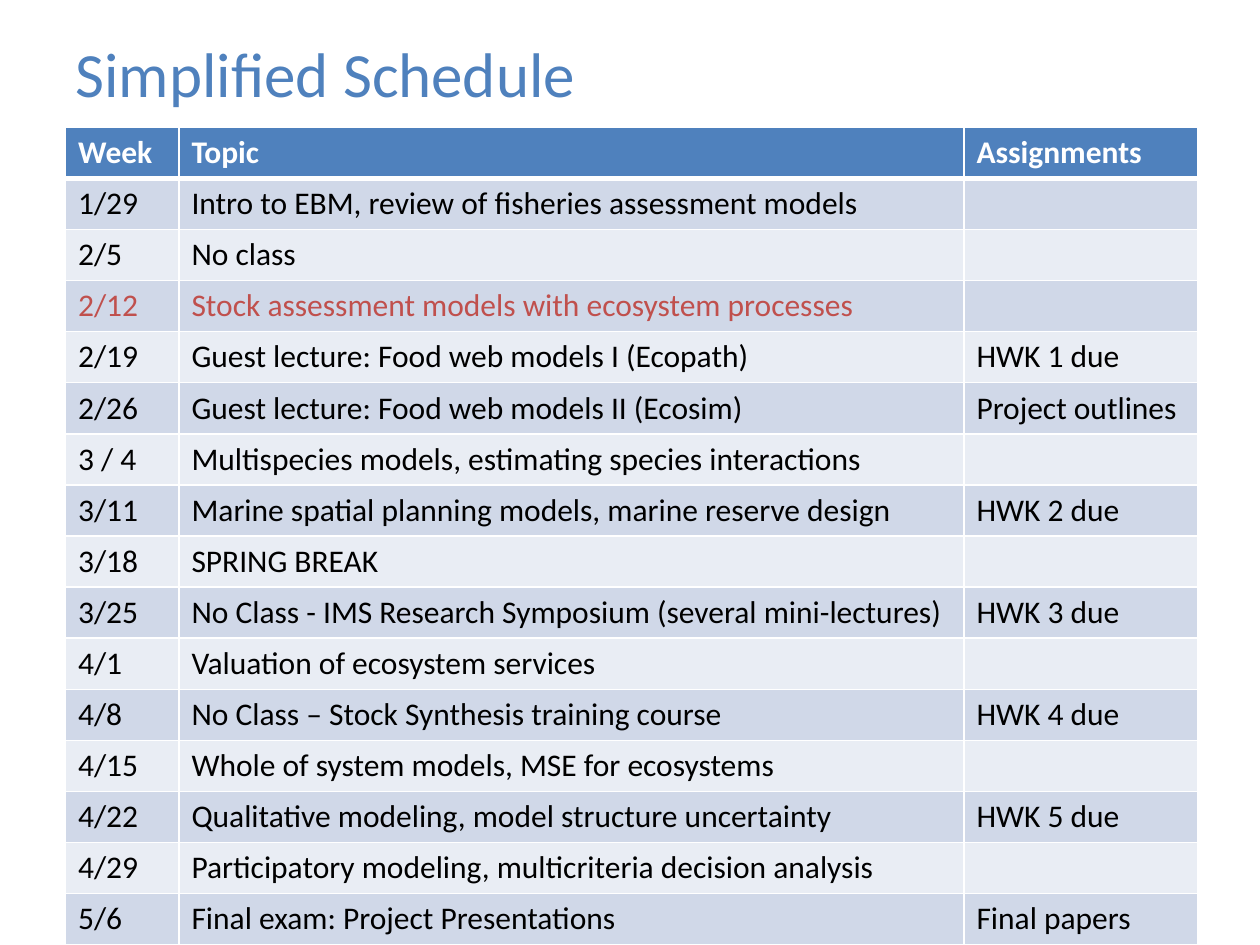
from lxml import etree
from pptx import Presentation
from pptx.dml.color import RGBColor
from pptx.enum.text import MSO_ANCHOR, MSO_AUTO_SIZE, PP_ALIGN
from pptx.oxml.ns import qn
from pptx.util import Inches, Pt

MIDDLE, LEFT, NO_FIT = MSO_ANCHOR.MIDDLE, PP_ALIGN.LEFT, MSO_AUTO_SIZE.NONE

# Content
TITLE = "Simplified Schedule"
SCHEDULE = [
    ("Week", "Topic", "Assignments"),
    ("1/29", "Intro to EBM, review of fisheries assessment models", ""),
    ("2/5", "No class", ""),
    ("2/12", "Stock assessment models with ecosystem processes", ""),
    ("2/19", "Guest lecture: Food web models I (Ecopath)", "HWK 1 due"),
    ("2/26", "Guest lecture: Food web models II (Ecosim)", "Project outlines"),
    ("3 / 4", "Multispecies models, estimating species interactions", ""),
    ("3/11", "Marine spatial planning models, marine reserve design", "HWK 2 due"),
    ("3/18", "SPRING BREAK", ""),
    ("3/25", "No Class - IMS Research Symposium (several mini-lectures)", "HWK 3 due"),
    ("4/1", "Valuation of ecosystem services", ""),
    ("4/8", "No Class – Stock Synthesis training course", "HWK 4 due"),
    ("4/15", "Whole of system models, MSE for ecosystems", ""),
    ("4/22", "Qualitative modeling, model structure uncertainty", "HWK 5 due"),
    ("4/29", "Participatory modeling, multicriteria decision analysis", ""),
    ("5/6", "Final exam: Project Presentations", "Final papers"),
]
CURRENT_WEEK = "2/12"

# Layout in inches
SLIDE_WIDTH, SLIDE_HEIGHT = 10, 7.5
TITLE_BOX = {"left": 0.5, "top": 0.2, "width": 9, "height": 0.75}
TABLE_LEFT, TABLE_TOP = 0.52, 1.01
COLUMN_WIDTHS = (0.9, 6.23, 1.86)
ROW_HEIGHT = 0.4

# Colours
BLUE, RED, WHITE, BLACK = "4F81BD", "C0504D", "FFFFFF", "000000"
BANDS = ("E9EDF4", "D0D8E8")


def color(value):
    return RGBColor.from_string(value)


def write(paragraph, text, font_color, **format_values):
    run = paragraph.add_run()
    run.text = text
    run.font.color.rgb = color(font_color)
    for name, value in {"name": "Calibri", **format_values}.items():
        setattr(run.font, name, value)


def add_borders(cell, widths):
    properties = cell._tc.get_or_add_tcPr()
    for side, width in widths.items():
        line = etree.SubElement(properties, qn(f"a:ln{side}"), w=str(Pt(width)))
        fill = etree.SubElement(line, qn("a:solidFill"))
        etree.SubElement(fill, qn("a:srgbClr"), val=WHITE)


def add_title(slide):
    title = slide.shapes.title
    for name, value in TITLE_BOX.items():
        setattr(title, name, Inches(value))
    frame = title.text_frame
    frame.auto_size = NO_FIT
    frame.vertical_anchor = MIDDLE
    frame.paragraphs[0].alignment = LEFT
    write(frame.paragraphs[0], TITLE, BLUE, size=Pt(36))


def add_schedule(slide):
    table = slide.shapes.add_table(
        len(SCHEDULE), len(COLUMN_WIDTHS), Inches(TABLE_LEFT), Inches(TABLE_TOP),
        Inches(sum(COLUMN_WIDTHS)), Inches(ROW_HEIGHT * len(SCHEDULE))).table
    for column, width in zip(table.columns, COLUMN_WIDTHS):
        column.width = Inches(width)

    for row_index, row in enumerate(SCHEDULE):
        header = row_index == 0
        fill_color = BLUE if header else BANDS[row_index % 2]
        font_color = WHITE if header else RED if row[0] == CURRENT_WEEK else BLACK
        # A thick rule separates the header from the weeks
        borders = {"L": 1, "R": 1, "T": 3 if row_index == 1 else 1, "B": 3 if header else 1}
        for column_index, text in enumerate(row):
            cell = table.cell(row_index, column_index)
            add_borders(cell, borders)
            cell.fill.solid()
            cell.fill.fore_color.rgb = color(fill_color)
            if text:
                write(cell.text_frame.paragraphs[0], text, font_color,
                      size=Pt(18), bold=header)


def main():
    presentation = Presentation()
    presentation.slide_width = Inches(SLIDE_WIDTH)
    presentation.slide_height = Inches(SLIDE_HEIGHT)
    slide = presentation.slides.add_slide(presentation.slide_layouts[5])
    add_title(slide)
    add_schedule(slide)
    presentation.save("out.pptx")


if __name__ == "__main__":
    main()
